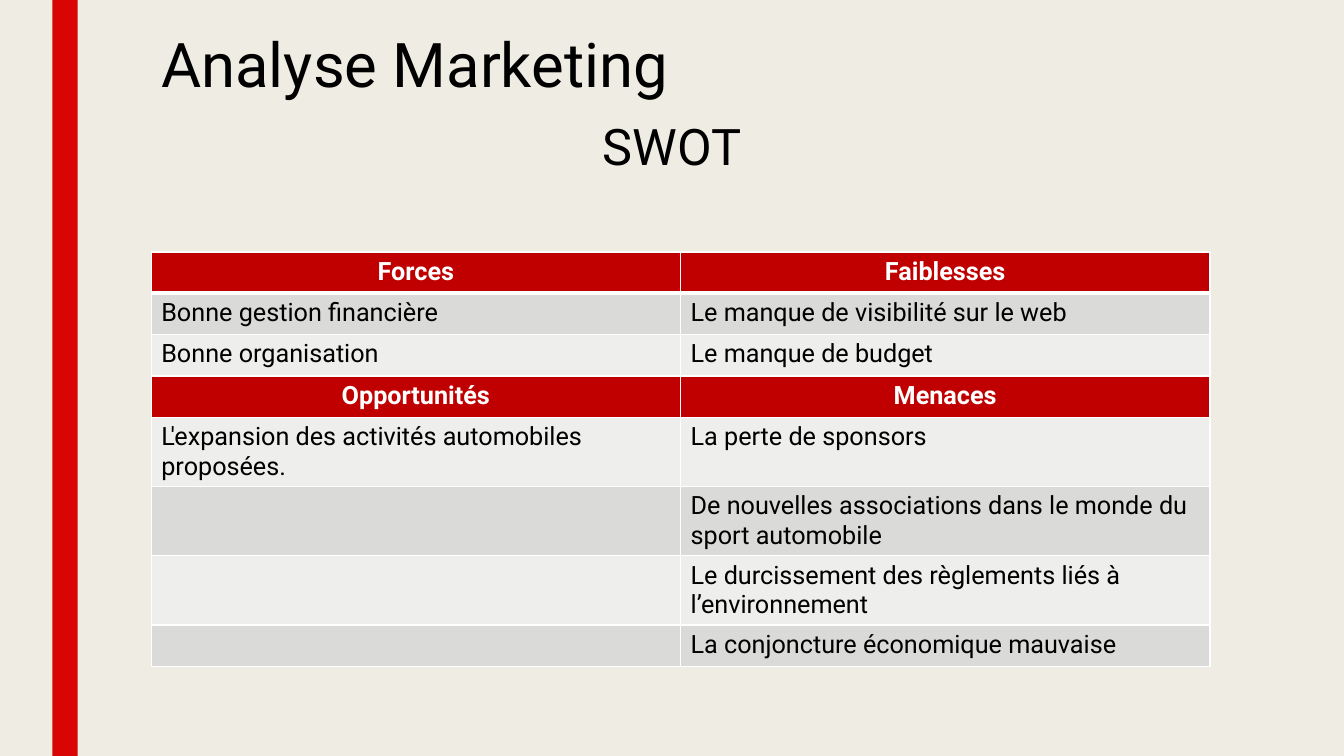
from lxml.etree import SubElement
from pptx import Presentation
from pptx.dml.color import RGBColor
from pptx.enum.shapes import MSO_SHAPE as Shape
from pptx.enum.text import MSO_ANCHOR as Anchor, PP_ALIGN as Align
from pptx.oxml.ns import qn
from pptx.util import Inches, Pt

COLORS = {"background": "EFEDE3", "stripe": "D90404", "heading": "C00000",
          "dark_band": "DADBD9", "light_band": "EEEEED",
          "text": "000000", "white": "FFFFFF"}
FONT = "Roboto"
SWOT = [
    ("Forces", "Faiblesses"),
    ("Bonne gestion financière", "Le manque de visibilité sur le web"),
    ("Bonne organisation", "Le manque de budget"),
    ("Opportunités", "Menaces"),
    ("L'expansion des activités automobiles proposées.", "La perte de sponsors"),
    ("", "De nouvelles associations dans le monde du sport automobile"),
    ("", "Le durcissement des règlements liés à l’environnement"),
    ("", "La conjoncture économique mauvaise"),
]
HEADING_ROWS = (0, 3)


def color(name):
    return RGBColor.from_string(COLORS[name])


def paint(fill, name):
    fill.solid()
    fill.fore_color.rgb = color(name)


def write(frame, text, size, ink="text", align=Align.LEFT, spacing=None, bold=False):
    paragraph = frame.paragraphs[0]
    paragraph.text = text
    paragraph.alignment = align
    paragraph.line_spacing = spacing
    for key, value in {"name": FONT, "size": Pt(size), "bold": bold}.items():
        setattr(paragraph.font, key, value)
    paragraph.font.color.rgb = color(ink)


def add_stripe(slide, box):
    stripe = slide.shapes.add_shape(Shape.RECTANGLE, *map(Inches, box))
    stripe.shadow.inherit = False
    paint(stripe.fill, "stripe")
    stripe.line.fill.background()


def place_title(slide, box):
    title = slide.shapes.title
    title.left, title.top, title.width, title.height = map(Inches, box)
    title.text_frame.vertical_anchor = Anchor.MIDDLE
    write(title.text_frame, "Analyse Marketing", 44, spacing=0.89)


def add_subtitle(slide, box):
    frame = slide.shapes.add_textbox(*map(Inches, box)).text_frame
    frame.word_wrap = True
    frame.vertical_anchor = Anchor.TOP
    write(frame, "SWOT", 36, align=Align.CENTER, spacing=0.89)


def add_borders(cell, widths):
    """Draw white cell edges; widths maps L, R, T, B to points."""
    properties = cell._tc.get_or_add_tcPr()
    for index, (side, width) in enumerate(widths.items()):
        line = SubElement(properties, qn(f"a:ln{side}"), w=str(Pt(width)))
        fill = SubElement(line, qn("a:solidFill"))
        SubElement(fill, qn("a:srgbClr"), val=COLORS["white"])
        properties.insert(index, line)


def add_swot_table(slide, box):
    table = slide.shapes.add_table(len(SWOT), 2, *map(Inches, box)).table
    for r, entries in enumerate(SWOT):
        heading = r in HEADING_ROWS
        band = "heading" if heading else "dark_band" if r % 2 else "light_band"
        edges = {"L": 1, "R": 1, "T": 3 if r == 1 else 1, "B": 3 if r == 0 else 1}
        for c, entry in enumerate(entries):
            cell = table.cell(r, c)
            paint(cell.fill, band)
            add_borders(cell, edges)
            write(cell.text_frame, entry, 18, "white" if heading else "text",
                  Align.CENTER if heading else Align.LEFT, bold=heading)


def build_swot_slide(deck):
    slide = deck.slides.add_slide(deck.slide_layouts[5])
    paint(slide.background.fill, "background")
    left, width = 1.5, 10.5
    add_stripe(slide, (0.52, 0, 0.25, 7.5))
    place_title(slide, (left, 0.27, width, 0.81))
    add_swot_table(slide, (left, 2.5, width, 0.41 * len(SWOT)))
    add_subtitle(slide, (5.44, 1.17, 2.45, 0.81))


def main():
    deck = Presentation()
    deck.slide_width, deck.slide_height = Inches(13.33), Inches(7.5)
    build_swot_slide(deck)
    deck.save("out.pptx")


if __name__ == "__main__":
    main()
